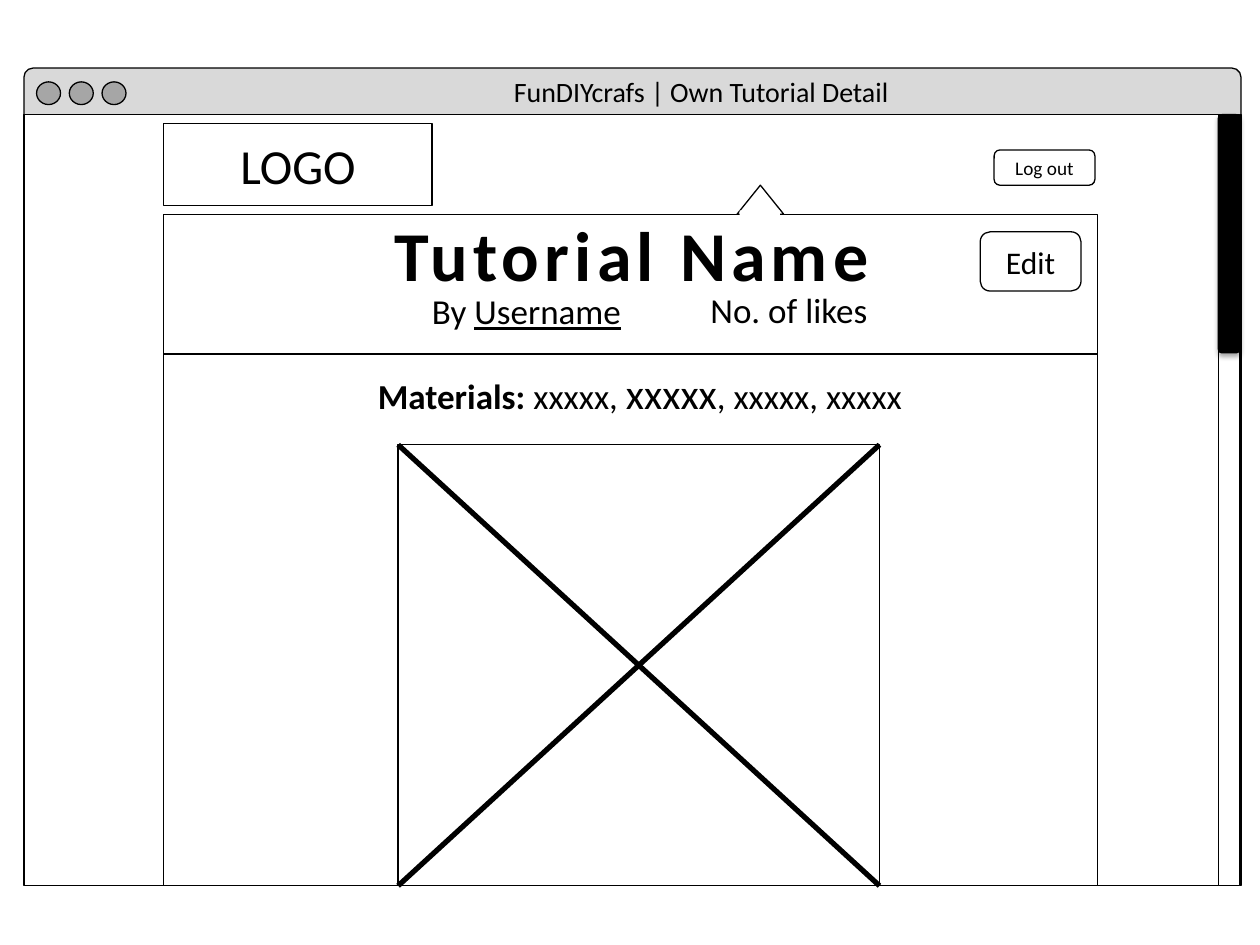
from pptx import Presentation
from pptx.dml.color import RGBColor
from pptx.enum.shapes import MSO_CONNECTOR as Connector, MSO_SHAPE as Shape
from pptx.enum.text import MSO_ANCHOR as Anchor, MSO_AUTO_SIZE as AutoSize, PP_ALIGN as Align
from pptx.oxml import parse_xml
from pptx.oxml.ns import nsdecls, qn
from pptx.util import Inches, Pt

SHADOW = (
    f'<a:effectLst {nsdecls("a")}>'
    '<a:outerShdw blurRad="39370" dist="22860" dir="5400000" rotWithShape="0">'
    '<a:srgbClr val="000000"><a:alpha val="35000"/></a:srgbClr>'
    '</a:outerShdw></a:effectLst>'
)


def color(hex_value):
    return RGBColor.from_string(hex_value)


def add_text(paragraph, text, size=20, bold=False, underline=False, spacing=0,
             face="Calibri", ink="000000"):
    run = paragraph.add_run()
    run.text = text
    run.font.name = face
    run.font.size = Pt(size)
    run.font.bold = bold
    run.font.underline = underline
    run.font.color.rgb = color(ink)
    if spacing:
        run._r.get_or_add_rPr().set("spc", str(spacing * 100))


class Wireframe:
    ink = "000000"
    paper = "FFFFFF"
    outline = 0.75

    def __init__(self, slide):
        self.slide = slide

    def shape(self, kind, left, top, width, height, fill=None, outlined=True):
        shape = self.slide.shapes.add_shape(
            kind, Inches(left), Inches(top), Inches(width), Inches(height))
        shape.shadow.inherit = False
        if fill:
            shape.fill.solid()
            shape.fill.fore_color.rgb = color(fill)
        else:
            shape.fill.background()
        if outlined:
            shape.line.color.rgb = color(self.ink)
            shape.line.width = Pt(self.outline)
        else:
            shape.line.fill.background()
        return shape

    def label(self, kind, left, top, width, height, text, size, fill=None):
        frame = self.shape(kind, left, top, width, height, fill).text_frame
        frame.word_wrap = True
        frame.vertical_anchor = Anchor.MIDDLE
        frame.paragraphs[0].alignment = Align.CENTER
        add_text(frame.paragraphs[0], text, size=size)

    def text(self, left, top, width, height, *runs, wrap=False):
        frame = self.slide.shapes.add_textbox(
            Inches(left), Inches(top), Inches(width), Inches(height)).text_frame
        frame.word_wrap = wrap
        frame.auto_size = AutoSize.SHAPE_TO_FIT_TEXT
        for words, style in runs:
            add_text(frame.paragraphs[0], words, **style)

    def line(self, x1, y1, x2, y2, weight):
        line = self.slide.shapes.add_connector(
            Connector.STRAIGHT, Inches(x1), Inches(y1), Inches(x2), Inches(y2))
        line.line.color.rgb = color(self.ink)
        line.line.width = Pt(weight)
        properties = line._element.spPr
        properties.append(properties.makeelement(qn("a:effectLst"), {}))

    def shadow(self, shape):
        properties = shape._element.spPr
        properties.replace(properties.find(qn("a:effectLst")), parse_xml(SHADOW))


def main():
    deck = Presentation()
    deck.slide_width, deck.slide_height = Inches(10), Inches(7.5)
    page = Wireframe(deck.slides.add_slide(deck.slide_layouts[6]))
    paper = page.paper

    page.shape(Shape.ROUNDED_RECTANGLE, 0.19, 0.54, 9.66, 0.44, "D9D9D9")
    page.shape(Shape.RECTANGLE, 0.19, 0.91, 9.66, 6.12, paper)
    for button in range(3):
        page.shape(Shape.OVAL, 0.29 + 0.26 * button, 0.65, 0.19, 0.18, "A6A6A6")

    page.shape(Shape.RECTANGLE, 1.3, 1.7, 7.41, 5.33, paper)
    page.shape(Shape.RECTANGLE, 9.67, 0.91, 0.17, 6.12, paper)
    scroll_thumb = page.shape(
        Shape.ROUNDED_RECTANGLE, 9.67, 0.91, 0.17, 1.89, page.ink)
    page.shadow(scroll_thumb)

    page.text(3.98, 0.54, 3.27, 0.37,
              ("FunDIYcrafs | Own Tutorial Detail", {"size": 16}))
    page.text(3.03, 1.63, 4.16, 0.77,
              ("Tutorial Name", {"size": 40, "bold": True, "spacing": 3}), wrap=True)
    page.text(3.33, 2.25, 1.72, 0.44, ("By ", {}), ("Username", {"underline": True}))
    page.text(5.54, 2.24, 1.47, 0.44, ("No. of likes", {}))
    page.line(1.3, 2.81, 8.71, 2.81, 1)

    left, top, right, bottom = 3.16, 3.53, 6.98, 7.03
    page.shape(Shape.RECTANGLE, left, top, right - left, bottom - top)
    page.line(left, top, right, bottom, 3)
    page.line(left, bottom, right, top, 3)
    page.text(2.9, 2.87, 4.4, 0.5, ("Materials: ", {"bold": True}), ("xxxxx, ", {}),
              ("xxxxx", {"size": 24}), (", xxxxx, xxxxx", {}))

    page.label(Shape.ROUNDED_RECTANGLE, 7.78, 1.84, 0.8, 0.47, "Edit", 18)
    page.label(Shape.RECTANGLE, 1.3, 0.98, 2.13, 0.65, "LOGO", 28, paper)
    page.label(Shape.ROUNDED_RECTANGLE, 7.89, 1.19, 0.8, 0.28, "Log out", 11)
    page.shape(Shape.ISOSCELES_TRIANGLE, 5.85, 1.47, 0.37, 0.23, paper)
    page.shape(Shape.RECTANGLE, 5.87, 1.67, 0.32, 0.08, paper, outlined=False)

    deck.save("out.pptx")


if __name__ == "__main__":
    main()
